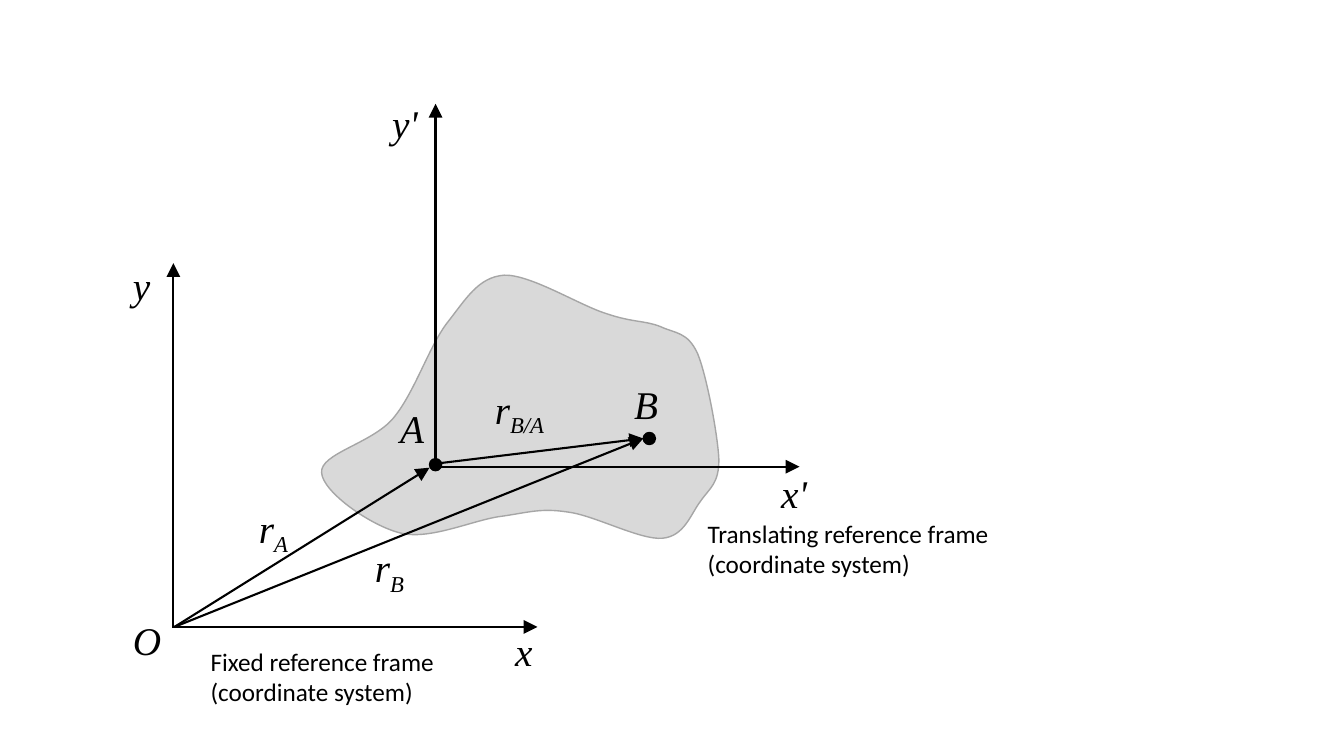
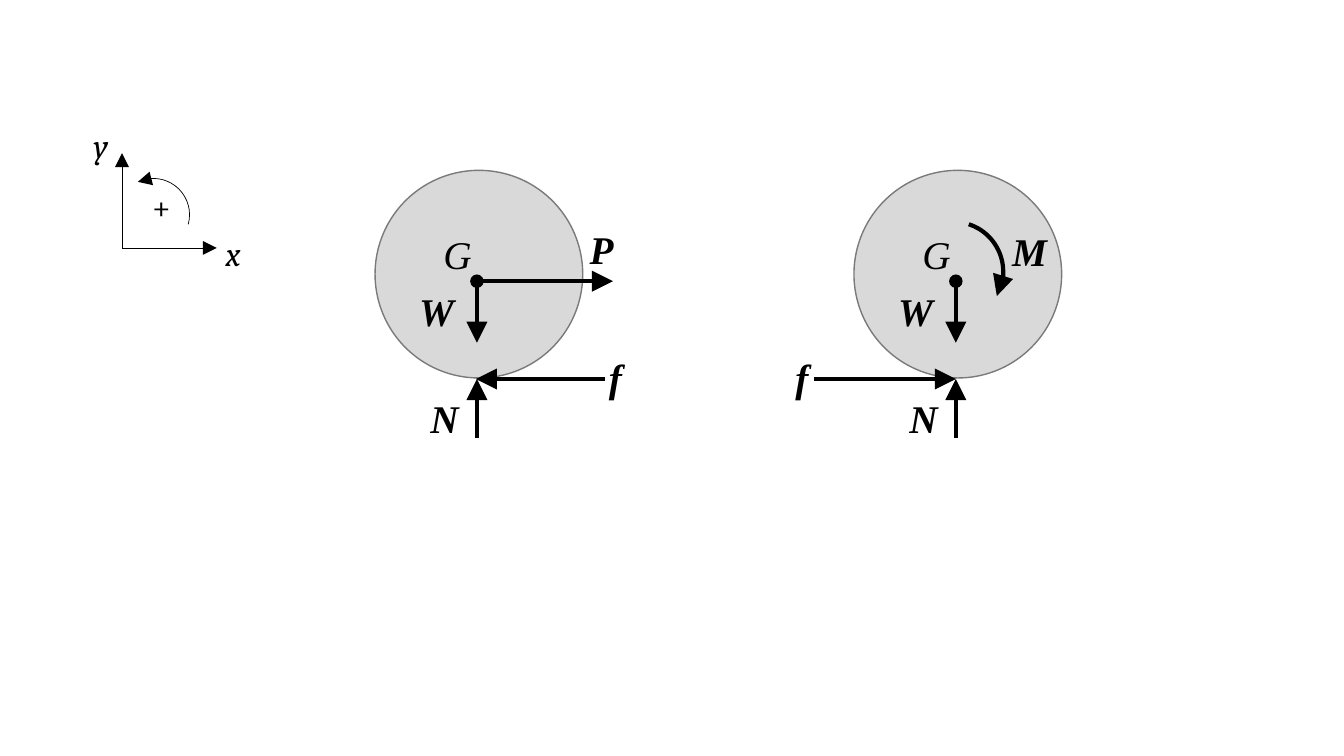
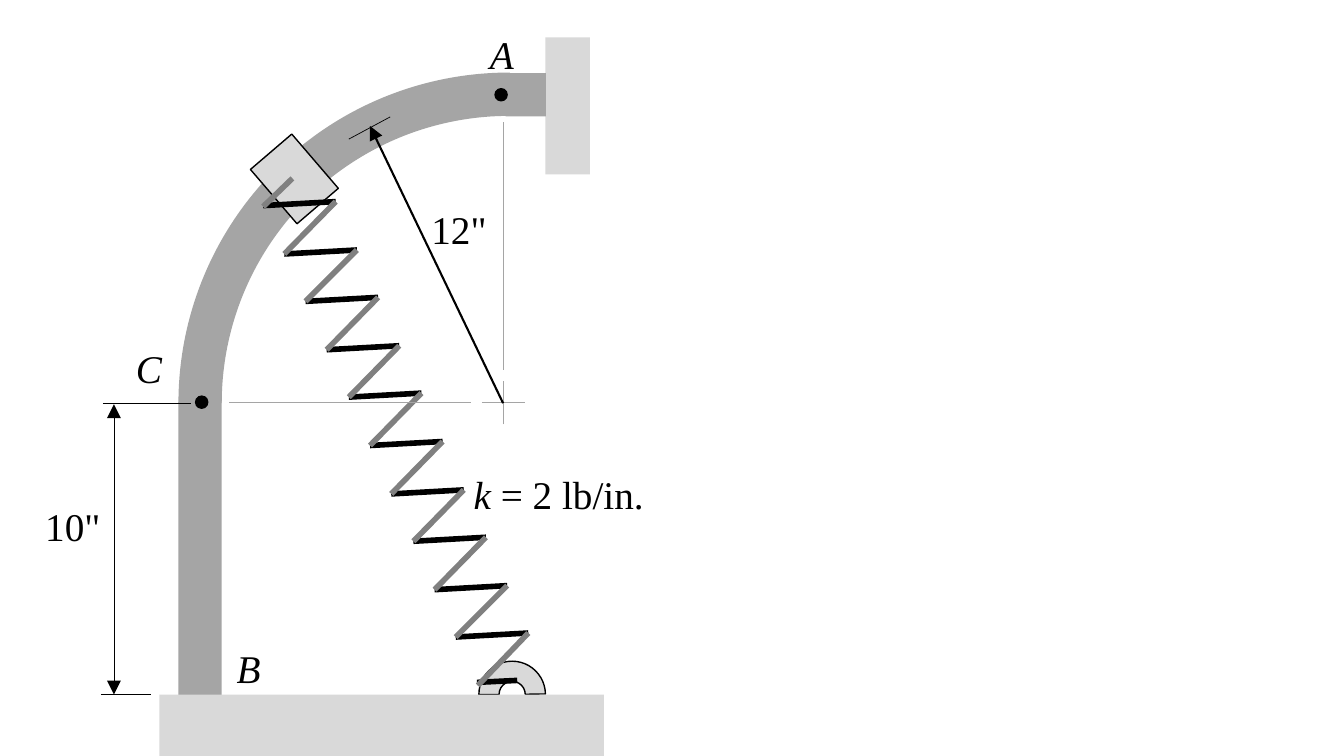
from pptx import Presentation
from pptx.dml.color import RGBColor
from pptx.enum.shapes import MSO_CONNECTOR, MSO_SHAPE
from pptx.enum.text import MSO_ANCHOR, PP_ALIGN
from pptx.oxml.ns import qn
from pptx.util import Pt
from lxml import etree

STRAIGHT = MSO_CONNECTOR.STRAIGHT
RECT, ELLIPSE = MSO_SHAPE.RECTANGLE, MSO_SHAPE.OVAL
ARC, BLOCK_ARC = MSO_SHAPE.ARC, MSO_SHAPE.BLOCK_ARC
TOP, LEFT = MSO_ANCHOR.TOP, PP_ALIGN.LEFT
SCALE = 9144
BLACK, BODY, BAR, COIL = "000000", "D9D9D9", "A5A5A5", "808080"
SERIF, SANS, MATH = "Times New Roman", "Calibri", "Cambria"


def px(n):
    return round(n * SCALE)


def rgb(value):
    return RGBColor.from_string(value)


def degrees(angle):
    return angle * 0.6


def add_run(p, text, size=28, font=SERIF, color=BLACK, bold=False, italic=True, sub=False):
    r = p.add_run()
    r.text = text
    r.font.size, r.font.name = Pt(size), font
    r.font.bold, r.font.italic = bold, italic
    r.font.color.rgb = rgb(color)
    if sub:
        r.font._element.set("baseline", "-25000")


class Deck:
    def __init__(self):
        self.prs = Presentation()
        self.prs.slide_width, self.prs.slide_height = px(1333), px(750)
        self.s = None

    def slide(self):
        self.s = self.prs.slides.add_slide(self.prs.slide_layouts[6])

    def style(self, sp, fill, line, width):
        sp.shadow.inherit = False
        if fill:
            sp.fill.solid()
            sp.fill.fore_color.rgb = rgb(fill)
        else:
            sp.fill.background()
        if line:
            sp.line.color.rgb = rgb(line)
            sp.line.width = Pt(width)
        else:
            sp.line.fill.background()

    def shape(self, kind, x, y, w, h, fill=None, line=None, width=1, rot=0, adj=()):
        sp = self.s.shapes.add_shape(kind, px(x), px(y), px(w), px(h))
        for i, value in enumerate(adj):
            sp.adjustments[i] = value
        sp.rotation = rot
        self.style(sp, fill, line, width)
        return sp

    def curved_outline(self, curves, fill, line):
        ends = [curve[-1] for curve in curves]
        left, top = (min(end[k] for end in ends) for k in (0, 1))
        fb = self.s.shapes.build_freeform(*ends[-1], scale=SCALE)
        fb.add_line_segments(ends, close=True)
        sp = fb.convert_to_shape()
        for segment, curve in zip(list(sp._element.iter(qn("a:lnTo"))), curves):
            bezier = etree.Element(qn("a:cubicBezTo"))
            for x, y in curve:
                etree.SubElement(bezier, qn("a:pt"), x=str(x - left), y=str(y - top))
            segment.getparent().replace(segment, bezier)
        self.style(sp, fill, line, 1)

    def arrowheads(self, line, ends):
        ln = line._get_or_add_ln()
        for end in ends:
            etree.SubElement(ln, qn(f"a:{end}End"), type="triangle", w="lg", len="lg")

    def line(self, x1, y1, x2, y2, color=BLACK, width=1.5, ends=()):
        cx = self.s.shapes.add_connector(STRAIGHT, px(x1), px(y1), px(x2), px(y2))
        cx.line.color.rgb = rgb(color)
        cx.line.width = Pt(width)
        self.arrowheads(cx.line, ends)
        etree.SubElement(cx._element.spPr, qn("a:effectLst"))

    def arrow(self, x1, y1, x2, y2, width=1.5):
        self.line(x1, y1, x2, y2, width=width, ends=("tail",))

    def arc(self, x, y, size, start, stop, width, end):
        sp = self.shape(ARC, x, y, size, size, line=BLACK, width=width,
                        adj=(degrees(start), degrees(stop)))
        self.arrowheads(sp.line, (end,))

    def dot(self, x, y):
        self.shape(ELLIPSE, x, y, 12, 12, BLACK, BLACK)

    def text(self, x, y, w, h, *runs, **fmt):
        tf = self.s.shapes.add_textbox(px(x), px(y), px(w), px(h)).text_frame
        tf.word_wrap = True
        tf.vertical_anchor = TOP
        p = tf.paragraphs[0]
        p.alignment = LEFT
        for text, own in runs:
            add_run(p, text, **{**fmt, **own})

    def label(self, x, y, text, sub="", w=50, **fmt):
        runs = [(text, {})]
        if sub:
            runs.append((sub, {"sub": True}))
        self.text(x, y, w, 48, *runs, **fmt)

    def caption(self, x, y, text):
        self.text(x, y, 301, 71, (text, {}), size=18, font=SANS, italic=False)

    def symbol(self, x, y, text, italic=True):
        self.text(x, y, 92, 50, (text, {}), size=24, font=MATH, italic=italic)

    def wheel(self, x):
        self.shape(ELLIPSE, x, 169, 206, 206, BODY, "7A7A7A")
        self.label(x + 58, 224, "G")
        self.dot(x + 95, 273)
        self.arrow(x + 101, 284, x + 101, 340, 3)
        self.arrow(x + 101, 435, x + 101, 376, 3)
        self.label(x + 34, 280, "W", bold=True)
        self.label(x + 45, 386, "N", bold=True)


def reference_frames(d):
    d.slide()
    d.curved_outline([
        ((575, 303), (526, 272), (500, 273)), ((474, 275), (462, 297), (443, 321)),
        ((425, 345), (411, 390), (390, 415)), ((369, 440), (317, 450), (319, 469)),
        ((320, 488), (368, 522), (398, 529)), ((428, 536), (471, 515), (499, 512)),
        ((526, 508), (537, 504), (563, 508)), ((589, 511), (635, 536), (657, 534)),
        ((679, 532), (685, 510), (695, 497)), ((704, 484), (713, 480), (713, 456)),
        ((712, 432), (701, 373), (692, 351)), ((682, 329), (670, 331), (655, 324)),
        ((640, 318), (627, 320), (601, 311))], BODY, "A6A6A6")
    for ends in [
            (172, 623, 172, 261), (172, 622, 533, 622),
            (432, 464, 432, 103), (432, 463, 793, 463),
            (173, 622, 426, 464), (173, 622, 638, 435), (432, 460, 638, 435)]:
        d.arrow(*ends)
    d.dot(426, 455)
    d.dot(638, 429)
    for x, y, text in [
            (387, 396, "A"), (619, 372, "B"), (122, 606, "O"), (501, 617, "x"),
            (122, 254, "y"), (765, 461, "x'"), (379, 94, "y'")]:
        d.label(x, y, text)
    for x, y, sub in [(247, 495, "A"), (362, 534, "B"), (481, 377, "B/A")]:
        d.label(x, y, "r", sub, w=80)
    d.caption(692, 509, "Translating reference frame (coordinate system)")
    d.caption(199, 636, "Fixed reference frame (coordinate system)")


def rolling_wheels(d):
    d.slide()
    d.arrow(121, 246, 215, 246, 0.5)
    d.arrow(121, 246, 121, 152, 0.5)
    d.symbol(83, 119, "y")
    d.symbol(214, 226, "x")
    d.symbol(141, 180, "+", italic=False)
    d.arc(116, 177, 72, 244.88, 15.43, 0.5, "head")
    d.wheel(372)
    d.arrow(600, 376, 472, 376, 3)
    d.arrow(478, 279, 608, 279, 3)
    d.wheel(847)
    d.arrow(807, 376, 948, 376, 3)
    d.arc(896, 220, 99, 288.1, 29.2, 3, "tail")
    for x, y, text in [(575, 219, "P"), (594, 346, "f"), (994, 221, "M"), (779, 346, "f")]:
        d.label(x, y, text, bold=True)


def spring(d):
    left = [(round(260.6 + 21.3 * i), round(204 + 47.6 * i)) for i in range(11)]
    right = [(x + 72, y - 4) for x, y in left[:10]]
    for a, b in zip(left, right):
        d.line(*a, *b, width=4)
    d.line(473, 677, 513, 675, width=4)
    for a, b in zip(left[1:], right):
        d.line(*a, *b, COIL, 4)
    d.line(261, 205, 290, 177, COIL, 4)


def collar_on_rod(d):
    d.slide()
    d.shape(BLOCK_ARC, 177, 72, 656, 656, BAR, adj=(degrees(180), degrees(270.14), 43 / 656))
    d.shape(RECT, 177, 399, 43, 311, BAR)
    d.shape(RECT, 265, 142, 54, 71, BODY, BLACK, rot=319.4)
    d.shape(BLOCK_ARC, 475, 656, 66, 66, BODY, BLACK,
            adj=(degrees(180), degrees(359.19), 20 / 66))
    d.shape(RECT, 158, 689, 441, 61, BODY)
    d.shape(RECT, 541, 37, 44, 136, BODY)
    spring(d)
    d.shape(RECT, 500, 74, 43, 40, BAR, rot=270)
    for ends in [(467, 399, 227, 399), (499, 367, 499, 121),
                 (478, 399, 521, 399), (499, 421, 499, 378)]:
        d.line(*ends, BAR, 0.5)
    d.dot(194, 393)
    d.dot(491, 88)
    d.arrow(499, 400, 367, 125)
    d.line(113, 689, 113, 401, width=0.5, ends=("head", "tail"))
    for ends in [(346, 138, 387, 116), (102, 400, 189, 400), (100, 689, 150, 689)]:
        d.line(*ends, width=0.5)
    for x, y, text in [(125, 337, "C"), (476, 25, "A"), (225, 634, "B")]:
        d.label(x, y, text)
    for x, y, text in [(418, 199, '12"'), (35, 493, '10"')]:
        d.label(x, y, text, w=81, italic=False)
    d.text(460, 462, 210, 48, ("k", {}), (" = 2 lb/in.", {"italic": False}))


def main():
    d = Deck()
    reference_frames(d)
    rolling_wheels(d)
    collar_on_rod(d)
    d.prs.save("out.pptx")


if __name__ == "__main__":
    main()
